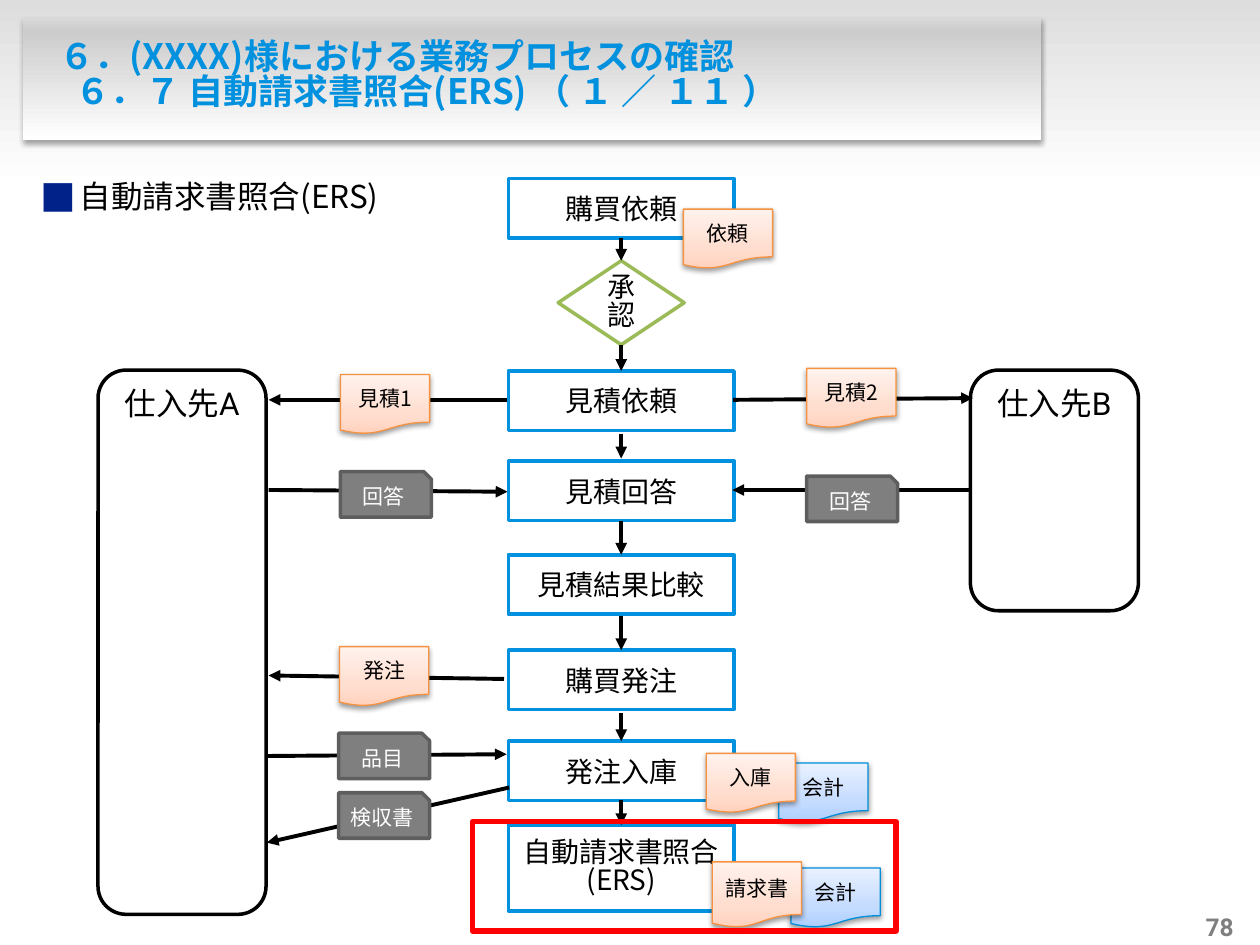
"""Build the slide showing the automatic invoice matching (ERS) purchasing flow."""
from dataclasses import dataclass

from lxml.etree import SubElement
from pptx import Presentation
from pptx.dml.color import RGBColor
from pptx.enum.shapes import MSO_CONNECTOR, MSO_SHAPE
from pptx.enum.text import MSO_ANCHOR, MSO_AUTO_SIZE, PP_ALIGN
from pptx.oxml import parse_xml
from pptx.oxml.ns import nsdecls, qn
from pptx.util import Pt


@dataclass(frozen=True)
class Theme:
    font: str = "Noto Sans CJK JP"
    latin_font: str = "Roboto"
    blue: str = "0191DE"
    bullet: str = "002289"
    black: str = "000000"
    white: str = "FFFFFF"
    number: str = "7F7F7F"
    title_size: int = 20
    body_size: int = 18
    step_size: int = 16
    document_size: int = 12
    number_size: int = 14
    tight: float = 0.83


theme = Theme()
base_style = {"fill": theme.white, "angle": 270, "line": None, "width": 2, "shadow": None,
              "size": theme.step_size, "color": theme.black, "inset": 7.2, "anchor": MSO_ANCHOR.MIDDLE}
document_style = base_style | {"width": 0.75, "shadow": (38, 3.1, 1.6),
                               "size": theme.document_size, "inset": 4}
styles = {
    "backdrop": base_style | {"fill": ((0, "DDDDDD"), (100, "FFFFFF")), "angle": 90},
    "banner": base_style | {"fill": ((0, "FFFFFF"), (89, "CCCCCC"), (100, "D9D9D9")),
                            "shadow": (35, 3.1, 1.8)},
    "step": base_style | {"line": theme.blue},
    "decision": base_style | {"line": "9BBB59"},
    "supplier": base_style | {"line": theme.black, "size": theme.body_size, "anchor": MSO_ANCHOR.TOP},
    "request": document_style | {"fill": ((0, "FFD2BD"), (35, "FFDED0"), (100, "FFF2ED")), "line": "F69240"},
    "accounting": document_style | {"fill": ((0, "ADCFFF"), (35, "C5DCFF"), (100, "E9F1FF")), "line": "008EDA"},
    "reply": document_style | {"fill": "7F7F7F", "line": "5E5E5E", "width": 2, "shadow": None,
                               "color": theme.white},
    "highlight": base_style | {"fill": None, "line": "FF0000", "width": 3},
}


def add_text(paragraph, text, size, color=theme.black, name=theme.font, bold=False):
    run = paragraph.add_run()
    run.text = text
    for attribute, value in {"name": name, "size": Pt(size), "bold": bold}.items():
        setattr(run.font, attribute, value)
    run.font.color.rgb = RGBColor.from_string(color)
    SubElement(run.font._element, qn("a:ea"), typeface=name)


def add_box(kind, place, style_name, *lines):
    style = styles[style_name]
    shape = slide.shapes.add_shape(kind, *map(Pt, place))
    shape.shadow.inherit = False
    properties = shape.element.spPr
    if isinstance(style["fill"], str):
        shape.fill.solid()
        shape.fill.fore_color.rgb = RGBColor.from_string(style["fill"])
    else:
        shape.fill.background()
    if isinstance(style["fill"], tuple):
        stops = "".join(f'<a:gs pos="{position * 1000}"><a:srgbClr val="{color}"/></a:gs>'
                        for position, color in style["fill"])
        gradient = parse_xml(f'<a:gradFill {nsdecls("a")} rotWithShape="1"><a:gsLst>{stops}</a:gsLst>'
                             f'<a:lin ang="{style["angle"] * 60000}" scaled="0"/></a:gradFill>')
        properties.replace(properties.find(qn("a:noFill")), gradient)
    if style["line"]:
        shape.line.color.rgb = RGBColor.from_string(style["line"])
        shape.line.width = Pt(style["width"])
    else:
        shape.line.fill.background()
    if style["shadow"]:
        alpha, blur, distance = style["shadow"]
        shadow = SubElement(properties.find(qn("a:effectLst")), qn("a:outerShdw"), blurRad=str(Pt(blur)),
                            dist=str(Pt(distance)), dir="5400000", rotWithShape="0")
        shadow_color = SubElement(shadow, qn("a:srgbClr"), val=theme.black)
        SubElement(shadow_color, qn("a:alpha"), val=str(alpha * 1000))
    frame = shape.text_frame
    for attribute, value in {"word_wrap": True, "vertical_anchor": style["anchor"],
                             "margin_left": Pt(style["inset"]), "margin_right": Pt(style["inset"])}.items():
        setattr(frame, attribute, value)
    for index, line in enumerate(lines):
        paragraph = frame.add_paragraph() if index else frame.paragraphs[0]
        paragraph.alignment = PP_ALIGN.CENTER
        if len(lines) > 1 or style_name == "decision":
            paragraph.line_spacing = theme.tight
        add_text(paragraph, line, style["size"], style["color"])
    return shape


presentation = Presentation()
presentation.slide_width, presentation.slide_height = Pt(720), Pt(540)
slide = presentation.slides.add_slide(presentation.slide_layouts[1])
title, body = slide.placeholders

add_box(MSO_SHAPE.RECTANGLE, (0, 0, 720, 106), "backdrop")
banner = add_box(MSO_SHAPE.RECTANGLE, (13, 10, 582, 70), "banner")
banner.element.addnext(body.element)
body.element.addnext(title.element)

for placeholder, place, anchor, left in ((title, (20, 17, 566, 54), MSO_ANCHOR.MIDDLE, 0),
                                         (body, (16, 91, 695, 413), MSO_ANCHOR.TOP, 7.2)):
    for attribute, value in zip(("left", "top", "width", "height"), place):
        setattr(placeholder, attribute, Pt(value))
    for attribute, value in {"auto_size": MSO_AUTO_SIZE.NONE, "word_wrap": True, "vertical_anchor": anchor,
                             "margin_left": Pt(left), "margin_top": Pt(3.6),
                             "margin_bottom": Pt(3.6)}.items():
        setattr(placeholder.text_frame, attribute, value)

title_lines = ((14, "６．(XXXX)様における業務プロセスの確認"), (23, "６．７ 自動請求書照合(ERS) （ １ ／ １１ ）"))
for index, (indent, line) in enumerate(title_lines):
    paragraph = title.text_frame.add_paragraph() if index else title.text_frame.paragraphs[0]
    for attribute, value in {"alignment": PP_ALIGN.LEFT, "line_spacing": theme.tight,
                             "space_before": Pt(0)}.items():
        setattr(paragraph, attribute, value)
    paragraph._p.get_or_add_pPr().set("marL", str(Pt(indent)))
    add_text(paragraph, line, theme.title_size, theme.blue, bold=True)

paragraph = body.text_frame.paragraphs[0]
paragraph.line_spacing = 1.3
paragraph.space_before = Pt(0)
bullet = paragraph._p.get_or_add_pPr()
bullet.set("marL", str(Pt(22.5)))
bullet.set("indent", str(Pt(-22.5)))
SubElement(SubElement(bullet, qn("a:buClr")), qn("a:srgbClr"), val=theme.bullet)
SubElement(bullet, qn("a:buSzPct"), val="113000")
SubElement(bullet, qn("a:buFont"), typeface=theme.font)
SubElement(bullet, qn("a:buChar"), char="■")
add_text(paragraph, "自動請求書照合(ERS)", theme.body_size)

number = slide.shapes.add_textbox(Pt(681), Pt(520.5), Pt(24), Pt(17.5))
for attribute in ("margin_left", "margin_top", "margin_right", "margin_bottom"):
    setattr(number.text_frame, attribute, 0)
number.text_frame.word_wrap = False
number.text_frame.vertical_anchor = MSO_ANCHOR.BOTTOM
number.text_frame.paragraphs[0].alignment = PP_ALIGN.RIGHT
add_text(number.text_frame.paragraphs[0], "78", theme.number_size, theme.number, theme.latin_font, True)

for left, top in ((452, 496), (445, 436)):
    add_box(MSO_SHAPE.FLOWCHART_DOCUMENT, (left, top, 51, 34), "accounting", "会計")

add_box(MSO_SHAPE.RECTANGLE, (290.5, 471.5, 129, 49), "step", "自動請求書照合", "(ERS)")
add_box(MSO_SHAPE.FLOWCHART_DECISION, (319, 149, 72, 48), "decision", "承認")
for top, label in ((102, "購買依頼"), (212, "見積依頼"), (263.5, "見積回答"),
                   (317, "見積結果比較"), (371.5, "購買発注"), (423.5, "発注入庫")):
    add_box(MSO_SHAPE.RECTANGLE, (290.5, top, 129, 34), "step", label)

for left, height, letter in ((56, 311, "A"), (554.5, 137.5, "B")):
    supplier = add_box(MSO_SHAPE.ROUNDED_RECTANGLE, (left, 211.5, 96, height), "supplier", "仕入先")
    add_text(supplier.text_frame.paragraphs[0], letter, theme.body_size, name=theme.latin_font)

flow_arrows = [(355, start, 355, end) for start, end in (
    (136, 149), (197, 212), (248, 262), (297.5, 317), (352, 371.5), (407.5, 423.5), (457, 471.5))]
supplier_arrows = [(290, 228.5, 153.5, 228.5), (288, 388, 153.5, 386), (554.5, 280, 418.5, 280),
                   (153.5, 280, 290, 281), (152.5, 432, 289.5, 431), (291, 450, 152.5, 481.5),
                   (419, 228.5, 556, 227.5)]
for ends in flow_arrows + supplier_arrows:
    arrow = slide.shapes.add_connector(MSO_CONNECTOR.STRAIGHT, *map(Pt, ends))
    arrow.line.color.rgb = RGBColor.from_string(theme.black)
    arrow.line.width = Pt(2.25)
    SubElement(arrow.element.spPr.find(qn("a:ln")), qn("a:tailEnd"), type="triangle")
    SubElement(arrow.element.spPr, qn("a:effectLst"))

for left, top, height, label in ((407, 492.5, 37.5, "請求書"), (403.5, 430.5, 34, "入庫"),
                                 (194, 369.5, 34, "発注"), (194.5, 214, 34, "見積1"),
                                 (461, 210.5, 34, "見積2"), (390.5, 119.5, 34, "依頼")):
    add_box(MSO_SHAPE.FLOWCHART_DOCUMENT, (left, top, 51, height), "request", label)

for left, top, label in ((194.5, 269.5, "回答"), (461, 272, "回答"), (193.5, 419, "品目"), (193.5, 453, "検収書")):
    add_box(MSO_SHAPE.SNIP_1_RECTANGLE, (left, top, 52, 26), "reply", label)

add_box(MSO_SHAPE.RECTANGLE, (270, 469.5, 242, 62.5), "highlight")

presentation.save("out.pptx")
